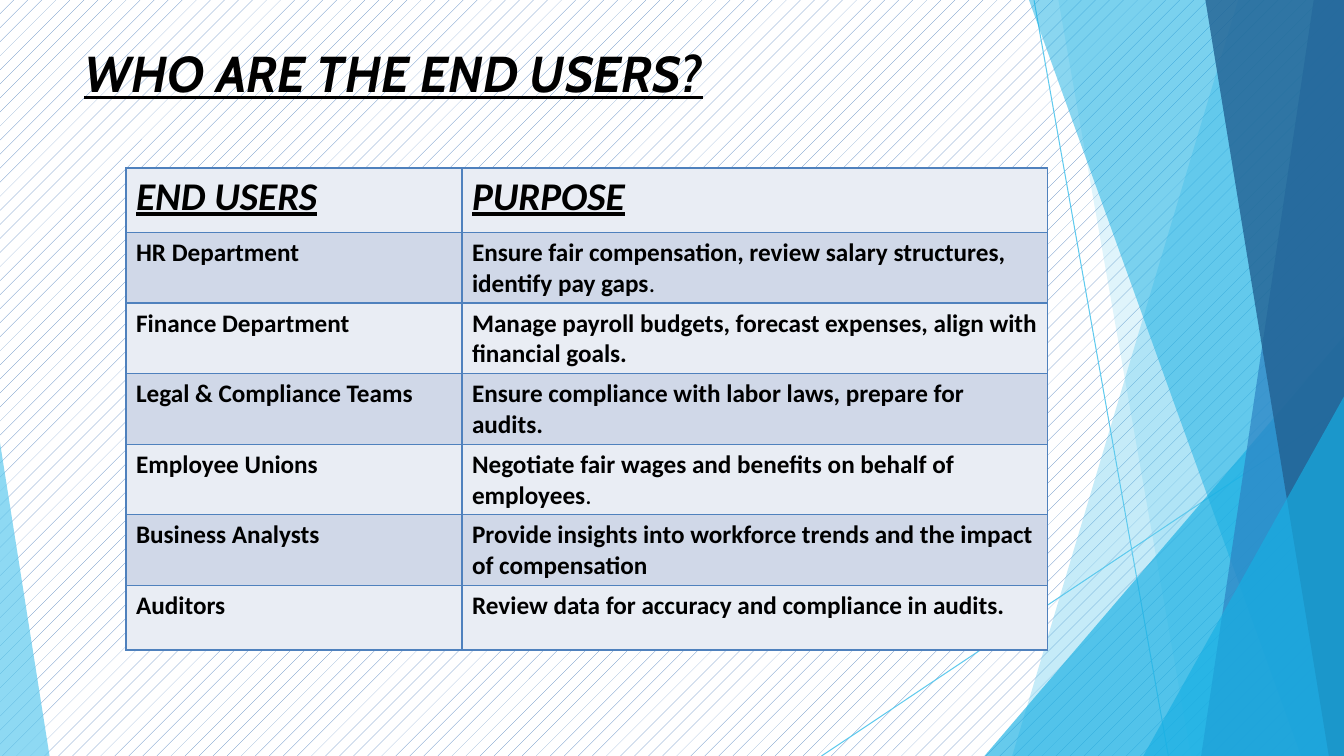
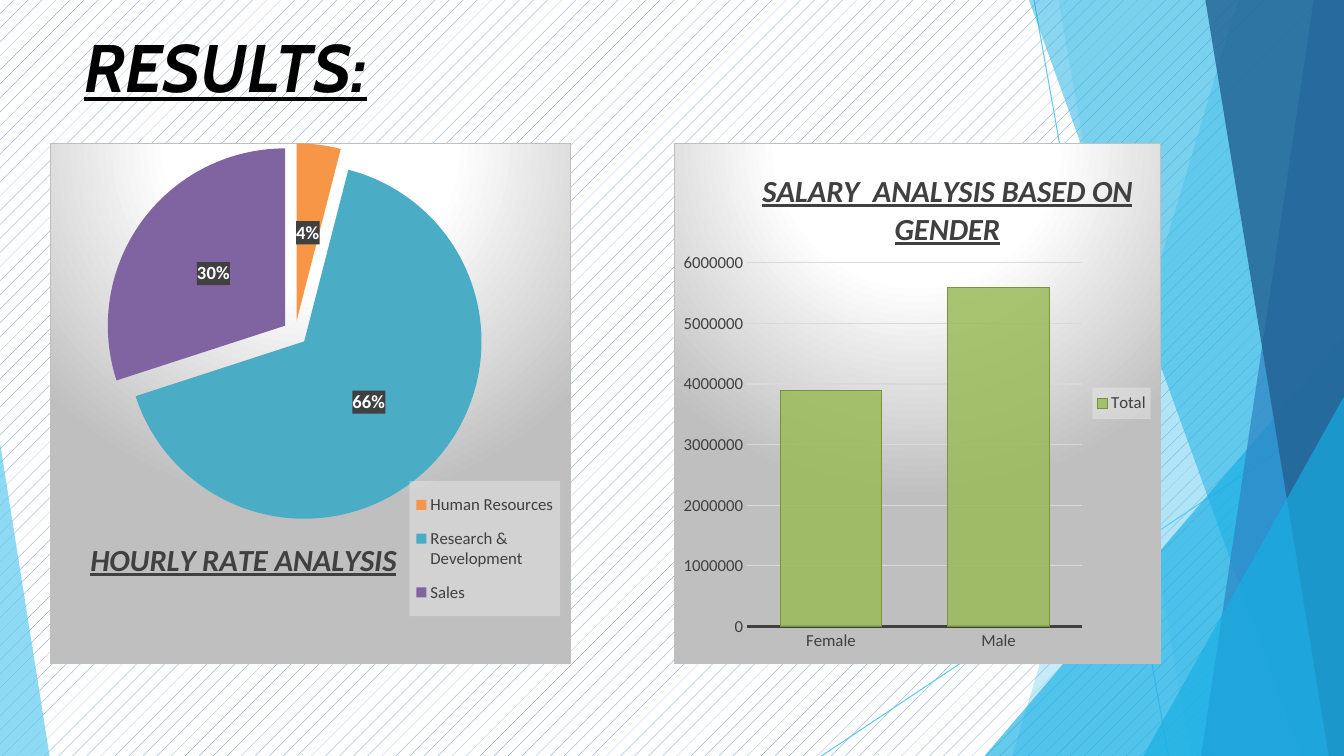
import pptx
import pptx.util
import pptx.dml.color
import pptx.dml.fill
import pptx.enum.dml
import pptx.enum.shapes
import pptx.enum.chart
import pptx.chart.data
import pptx.oxml
import pptx.oxml.ns

qn = pptx.oxml.ns.qn
xml = pptx.oxml.parse_xml
NS = pptx.oxml.ns.nsdecls("a", "c")
Pt = pptx.util.Pt
KIND = pptx.enum.chart.XL_CHART_TYPE
UNIT = 76200
COLS, ROWS = 160, 90
SKY, CYAN, BLUE, NAVY = "5FCAEE", "17AFE3", "2D83C3", "226192"
EDGE, INK, GREY = "4F81BD", "404040", "BFBFBF"


def tint(fill, code, alpha=100):
    fill.solid()
    fill.fore_color.rgb = pptx.dml.color.RGBColor.from_string(code)
    if alpha < 100:
        tone = fill._xPr.find(qn("a:solidFill") + "/" + qn("a:srgbClr"))
        tone.append(xml(f'<a:alpha {NS} val="{alpha * 1000}"/>'))


def write(para, text, size=18, face="Calibri", code="000000", bold=True, fancy=False):
    run = para.add_run()
    run.text = text
    font = run.font
    font.size, font.name, font.bold = Pt(size), face, bold
    font.italic = font.underline = fancy
    tint(font.fill, code)


deck = pptx.Presentation()
deck.slide_width, deck.slide_height = COLS * UNIT, ROWS * UNIT
base = deck.slide_layouts[6]
for hold in list(base.placeholders):
    base.shapes.element.remove(hold.element)
back = base.background.fill
back.patterned()
back.pattern = pptx.enum.dml.MSO_PATTERN.PERCENT_5
back.fore_color.rgb = pptx.dml.color.RGBColor.from_string(EDGE)
back.back_color.rgb = pptx.dml.color.RGBColor.from_string("FFFFFF")

heads = [("WHO ARE THE END USERS?", 5, 36), ("RESULTS:", 3, 48)]
pages = []
for text, row, size in heads:
    page = deck.slides.add_slide(base)
    box = page.shapes.add_textbox(10 * UNIT, row * UNIT, 122 * UNIT, 10 * UNIT)
    frame = box.text_frame
    frame.word_wrap = True
    frame.margin_left = frame.margin_right = frame.margin_top = frame.margin_bottom = 0
    write(frame.paragraphs[0], text, size=size, face="Cabin", fancy=True)
    pages.append(page)
users, results = pages

for ends in [(123.1, 0, 139.1, 90), (160, 48.5, 97.8, 90)]:
    spots = [round(end * UNIT) for end in ends]
    line = users.shapes.add_connector(pptx.enum.shapes.MSO_CONNECTOR.STRAIGHT, *spots)
    tint(line.line.fill, SKY)
    line.line.width = Pt(0.75)
    line.element.spPr.append(xml(f"<a:effectLst {NS}/>"))
    base.shapes.element.append(line.element)

bands = [
    (160, 0, 147.4, 120.5, SKY, 36),
    (160, 0, 126, 141.8, SKY, 20),
    (160, 40, 160, 117.2, CYAN, 66),
    (160, 0, 122.5, 154.9, CYAN, 50),
    (160, 0, 156.4, 143, BLUE, 70),
    (160, 0, 143.5, 158.2, NAVY, 80),
    (160, 47.2, 160, 136.1, CYAN, 66),
    (0, 52.7, 0, 5.9, SKY, 70),
]
for side, top, high, low, code, alpha in bands:
    path = users.shapes.build_freeform(side * UNIT, round(top * UNIT))
    spots = [(high, top), (low, ROWS), (side, ROWS)]
    path.add_line_segments([(x * UNIT, y * UNIT) for x, y in spots])
    band = path.convert_to_shape()
    band.shadow.inherit = False
    tint(band.fill, code, alpha)
    band.line.fill.background()
    base.shapes.element.append(band.element)

rows = [
    ("END USERS", "PURPOSE", ""),
    ("HR Department", "Ensure fair compensation, review salary structures, identify pay gaps", "."),
    ("Finance Department", "Manage payroll budgets, forecast expenses, align with financial goals.", ""),
    ("Legal & Compliance Teams", "Ensure compliance with labor laws, prepare for audits.", ""),
    ("Employee Unions", "Negotiate fair wages and benefits on behalf of employees", "."),
    ("Business Analysts", "Provide insights into workforce trends and the impact of compensation", ""),
    ("Auditors", "Review data for accuracy and compliance in audits.", ""),
]
tall = round(7.68 * UNIT)
grid = users.shapes.add_table(len(rows), 2, 15 * UNIT, 20 * UNIT, 110 * UNIT, tall * len(rows)).table
grid.first_row = grid.horz_banding = False
for col, wide in zip(grid.columns, (40, 69.7)):
    col.width = round(wide * UNIT)
for r, (name, goal, dot) in enumerate(rows):
    grid.rows[r].height = tall
    for c, text in enumerate((name, goal)):
        cell = grid.cell(r, c)
        para = cell.text_frame.paragraphs[0]
        write(para, text, size=18 if r else 28, fancy=r == 0)
        if c and dot:
            write(para, dot, bold=False)
        prop = cell._tc.get_or_add_tcPr()
        for edge in ("lnL", "lnR", "lnT", "lnB"):
            prop.append(xml(
                f'<a:{edge} {NS} w="12700"><a:solidFill><a:srgbClr val="{EDGE}"/></a:solidFill></a:{edge}>'))
        tint(cell.fill, "D0D8E8" if r % 2 else "E9EDF4")

plans = [
    (KIND.PIE, 6, 62, "HOURLY RATE ANALYSIS", "Series 1",
     {"Human Resources": 4, "Research & Development": 66, "Sales": 30},
     (0.065, 0.75), (0, 0, 0.94, 0.73), (0.69, 0.65, 0.29, 0.26)),
    (KIND.COLUMN_CLUSTERED, 80.2, 58, "SALARY  ANALYSIS BASED ON GENDER", "Total",
     {"Female": 3900000, "Male": 5600000},
     (0.17, 0.04), (0.15, 0.23, 0.69, 0.7), (0.86, 0.47, 0.12, 0.06)),
]
charts = []
for kind, left, wide, title, name, vals, *spots in plans:
    data = pptx.chart.data.CategoryChartData()
    data.categories = list(vals)
    data.add_series(name, list(vals.values()))
    chart = results.shapes.add_chart(
        kind, round(left * UNIT), 17 * UNIT, wide * UNIT, 62 * UNIT, data).chart
    charts.append(chart)
    chart.font.size, chart.font.name = Pt(12), "Calibri"
    tint(chart.font.fill, INK)
    chart.has_title = chart.has_legend = True
    write(chart.chart_title.text_frame.paragraphs[0], title, size=22, code=INK, fancy=True)
    key = chart.legend
    key.position = pptx.enum.chart.XL_LEGEND_POSITION.RIGHT
    key.include_in_layout = False
    root = chart.element.find(qn("c:chart"))
    for tag, slot, spot in zip(("title", "plotArea", "legend"), (1, 0, 1), spots):
        part = root.find(qn("c:" + tag))
        for old in part.findall(qn("c:layout")):
            part.remove(old)
        inner = '<c:layoutTarget val="inner"/>' if tag == "plotArea" else ""
        modes = '<c:xMode val="edge"/><c:yMode val="edge"/>'
        sizes = "".join(f'<c:{k} val="{v}"/>' for k, v in zip("xywh", spot))
        part.insert(slot, xml(
            f"<c:layout {NS}><c:manualLayout>{inner}{modes}{sizes}</c:manualLayout></c:layout>"))
    look = xml(f"<c:spPr {NS}/>")
    key._element.find(qn("c:overlay")).addnext(look)
    tint(pptx.dml.fill.FillFormat.from_fill_parent(look), "F2F2F2", 39)
    stops = "".join(
        f'<a:gs pos="{at}000"><a:srgbClr val="{code}"/></a:gs>'
        for at, code in ((0, "FFFFFF"), (39, "FFFFFF"), (100, GREY)))
    root.addnext(xml(
        f'<c:spPr {NS}><a:gradFill><a:gsLst>{stops}</a:gsLst><a:path path="circle">'
        '<a:fillToRect l="50000" t="-80000" r="50000" b="180000"/></a:path></a:gradFill>'
        f'<a:ln w="9525"><a:solidFill><a:srgbClr val="{GREY}"/></a:solidFill></a:ln></c:spPr>'))

pie, bars = charts
plot = pie.plots[0]
plot.vary_by_categories = True
part = plot.series[0]
for i, code in enumerate(("F79646", "4BACC6", "8064A2")):
    tint(part.points[i].format.fill, code)
part._element.find(qn("c:dPt")).addprevious(xml(f'<c:explosion {NS} val="7"/>'))
tags = part.data_labels
tags.show_percentage, tags.show_value = True, False
tags.number_format, tags.number_format_is_linked = "0%", False
tags.position = pptx.enum.chart.XL_LABEL_POSITION.CENTER
tags.font.size, tags.font.bold, tags.font.name = Pt(13.3), True, "Calibri"
tint(tags.font.fill, "FFFFFF")
look = xml(f"<c:spPr {NS}/>")
tags._element.find(qn("c:txPr")).addprevious(look)
tint(pptx.dml.fill.FillFormat.from_fill_parent(look), INK)

plot = bars.plots[0]
plot.vary_by_categories, plot.gap_width = False, 65
part = plot.series[0]
tint(part.format.fill, "9BBB59", 85)
tint(part.format.line.fill, "77933C")
part.format.line.width = Pt(0.75)
cats, nums = bars.category_axis, bars.value_axis
for axis in (cats, nums):
    axis.major_tick_mark = pptx.enum.chart.XL_TICK_MARK.NONE
tint(cats.format.line.fill, INK)
cats.format.line.width = Pt(1.5)
nums.format.line.fill.background()
nums.minimum_scale, nums.maximum_scale, nums.major_unit = 0, 6000000, 1000000
rule = nums.major_gridlines.format.line
tint(rule.fill, "D9D9D9")
rule.width = Pt(0.75)

deck.save("out.pptx")
